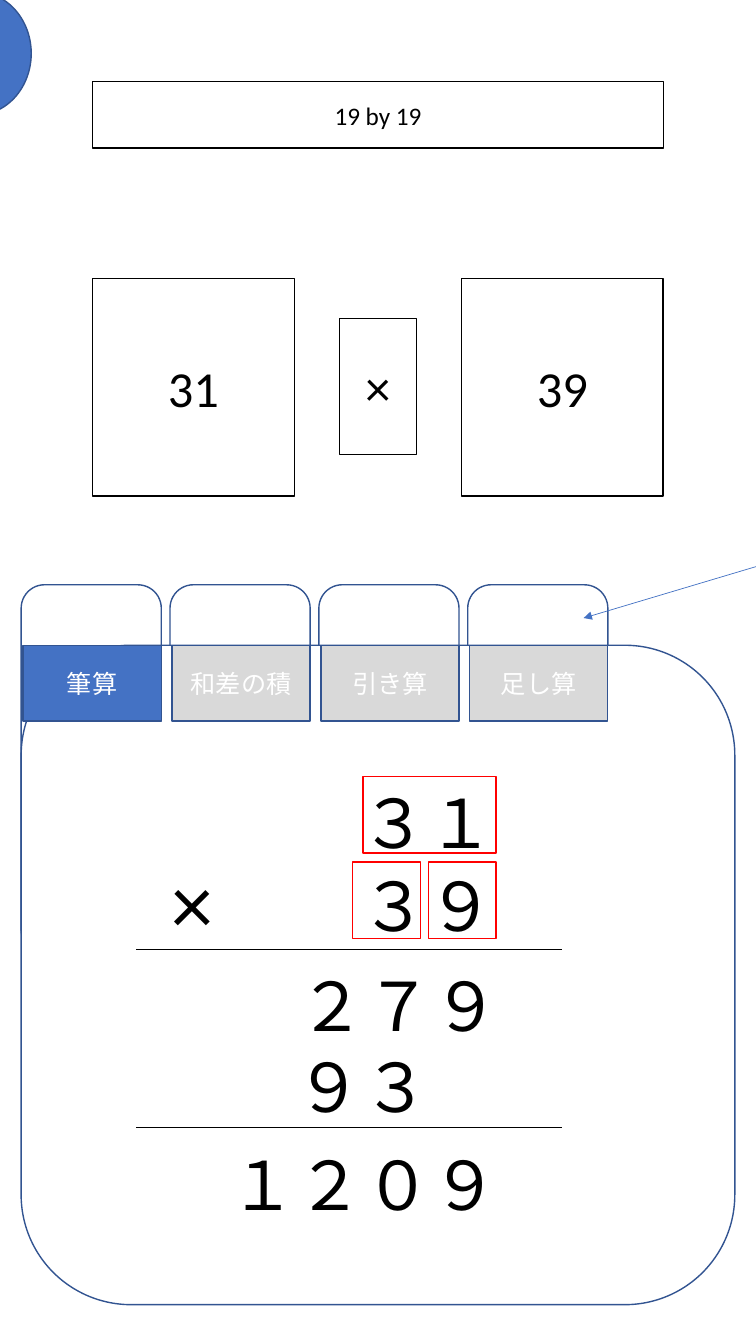
import pptx
import pptx.util
import pptx.dml.color
import pptx.enum.shapes
import pptx.enum.text
import pptx.oxml.ns
import lxml.etree
from dataclasses import dataclass
from pptx.util import Inches

SHAPE = pptx.enum.shapes.MSO_SHAPE
ALIGN = pptx.enum.text.PP_ALIGN
ANCHOR = pptx.enum.text.MSO_ANCHOR
FIT = pptx.enum.text.MSO_AUTO_SIZE


@dataclass(frozen=True)
class Theme:
    font: str = "Calibri"
    black: str = "000000"
    white: str = "FFFFFF"
    blue: str = "4472C4"
    outline: str = "325491"
    grey: str = "D9D9D9"
    red: str = "FF0000"
    label: int = 18
    number: int = 36
    digit: int = 48
    sign: int = 60
    border: float = 1
    rule: float = 0.5


def rgb(value):
    return pptx.dml.color.RGBColor.from_string(value)


def apply(target, values):
    for name, value in values.items():
        setattr(target, name, value)


def add_xml(parent, tag, **attributes):
    lxml.etree.SubElement(parent, pptx.oxml.ns.qn(tag), attributes)


@dataclass
class Builder:
    s: object
    theme: Theme

    def set_text(self, sp, text, size, color, frame, align):
        tf = sp.text_frame
        apply(tf, {"word_wrap": True, **frame})
        p = tf.paragraphs[0]
        apply(p, {"alignment": align, "line_spacing": 1.0})
        r = p.add_run()
        r.text = text
        apply(r.font, {"name": self.theme.font, "size": pptx.util.Pt(size)})
        r.font.color.rgb = rgb(color)

    def centered(self, sp, text, size, color):
        frame = {"auto_size": FIT.NONE, "vertical_anchor": ANCHOR.MIDDLE}
        self.set_text(sp, text, size, color, frame, ALIGN.CENTER)

    def stroke(self, line, color, width):
        line.color.rgb = rgb(color)
        line.width = pptx.util.Pt(width)

    def title(self, text, *box):
        sp = self.s.shapes.title
        names = ("left", "top", "width", "height")
        apply(sp, dict(zip(names, map(Inches, box))))
        self.stroke(sp.line, self.theme.black, self.theme.border)
        self.centered(sp, text, self.theme.label, self.theme.black)

    def shape(self, kind, *box, line, fill=None):
        sp = self.s.shapes.add_shape(kind, *map(Inches, box))
        sp.shadow.inherit = False
        if fill:
            sp.fill.solid()
            sp.fill.fore_color.rgb = rgb(fill)
        else:
            sp.fill.background()
        self.stroke(sp.line, line, self.theme.border)
        return sp

    def text(self, text, size, *box):
        sp = self.s.shapes.add_textbox(*map(Inches, box))
        frame = {"auto_size": FIT.SHAPE_TO_FIT_TEXT}
        self.set_text(sp, text, size, self.theme.black, frame, ALIGN.LEFT)

    def line(self, *ends, color, arrow=False):
        kind = pptx.enum.shapes.MSO_CONNECTOR.STRAIGHT
        sp = self.s.shapes.add_connector(kind, *map(Inches, ends))
        self.stroke(sp.line, color, self.theme.rule)
        props = sp._element.spPr
        if arrow:
            add_xml(props.find(pptx.oxml.ns.qn("a:ln")), "a:tailEnd", type="triangle")
        add_xml(props, "a:effectLst")


prs = pptx.Presentation()
apply(prs, {"slide_width": Inches(7.5), "slide_height": Inches(13.33)})
theme = Theme()
b = Builder(prs.slides.add_slide(prs.slide_layouts[5]), theme)

b.title("19 by 19", 0.92, 0.81, 5.66, 0.66)
b.shape(SHAPE.OVAL, -0.77, -0.08, 1.08, 1.22, line=theme.outline, fill=theme.blue)

for text, *box in (
    ("31", 0.92, 2.76, 2, 2.16),
    ("×", 3.37, 3.16, 0.76, 1.35),
    ("39", 4.58, 2.76, 2, 2.16),
):
    sp = b.shape(SHAPE.RECTANGLE, *box, line=theme.black)
    b.centered(sp, text, theme.number, theme.black)

tabs = ("筆算", "和差の積", "引き算", "足し算")
tab_left, tab_right = 0.21, 4.64
tab_step = (tab_right - tab_left) / (len(tabs) - 1)
for i in reversed(range(len(tabs))):
    b.shape(SHAPE.ROUNDED_RECTANGLE, tab_left + i * tab_step, 5.8, 1.39, 3.65,
            line=theme.outline, fill=theme.white)
b.shape(SHAPE.ROUNDED_RECTANGLE, tab_left, 6.4, 7.08, 6.54,
        line=theme.outline, fill=theme.white)
for i, text in enumerate(tabs):
    sp = b.shape(SHAPE.RECTANGLE, tab_left + 0.02 + i * tab_step, 6.4, 1.37, 0.75,
                 line=theme.outline, fill=theme.grey if i else theme.blue)
    b.centered(sp, text, theme.label, theme.white)
b.line(7.5, 5.62, 5.79, 6.13, color=theme.blue, arrow=True)

for text, left, top, width in (
    ("３１", 3.48, 7.7, 2.19),
    ("３９", 3.48, 8.52, 2.19),
    ("２７９", 2.86, 9.51, 2.72),
    ("９３", 2.83, 10.32, 2.78),
    ("１２０９", 2.18, 11.29, 3.65),
):
    b.text(text, theme.digit, left, top, width, 0.91)
b.text("×", theme.sign, 1.6, 8.39, 2.19, 1.11)
for y in (9.42, 11.18):
    b.line(1.35, y, 5.58, y, color=theme.black)
for left, top, width in ((3.6, 7.7, 1.32), (3.5, 8.55, 0.67), (4.25, 8.55, 0.67)):
    b.shape(SHAPE.RECTANGLE, left, top, width, 0.76, line=theme.red)

prs.save("out.pptx")
